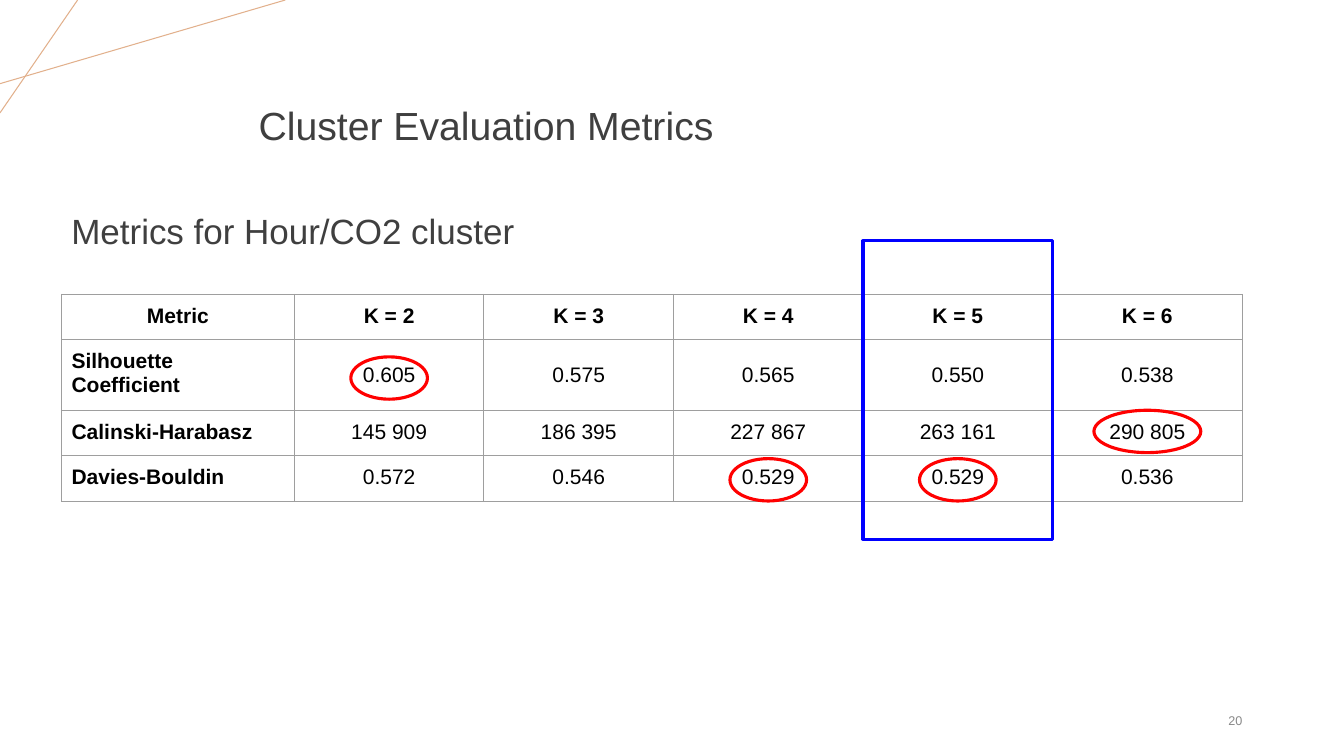
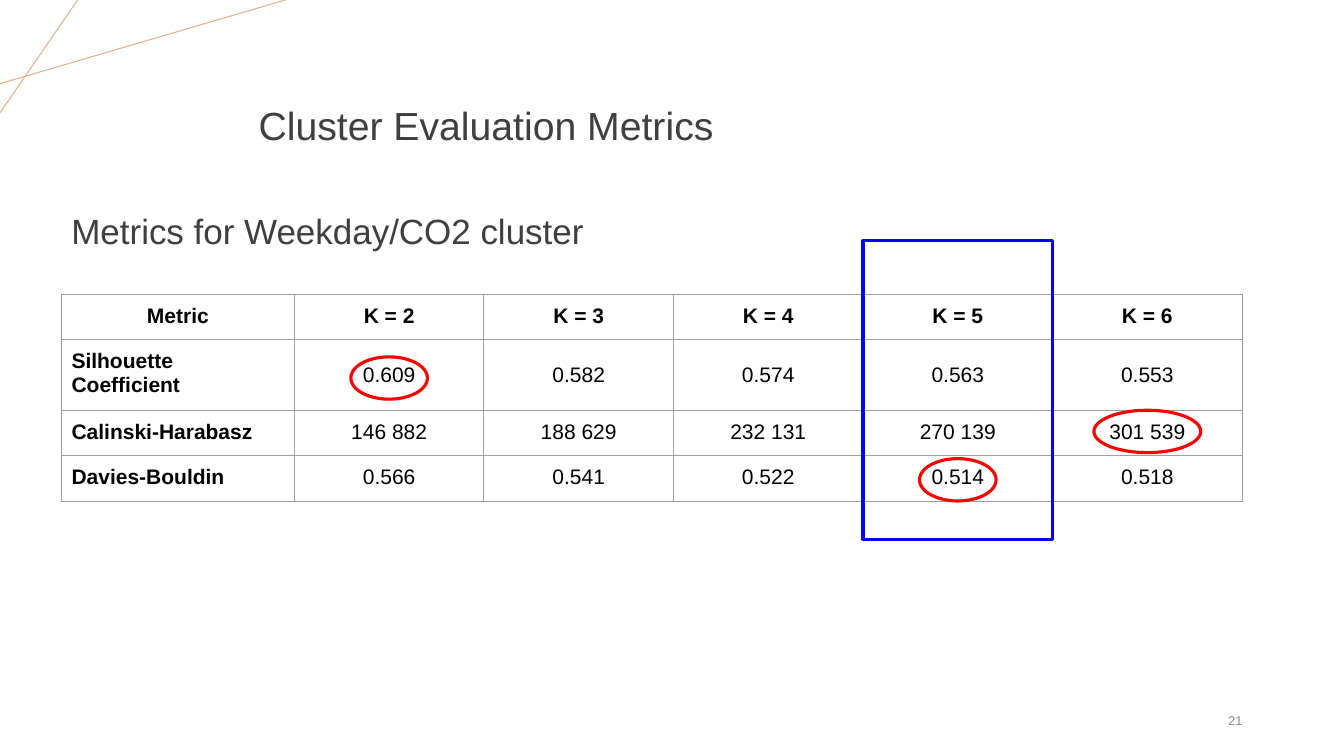
from lxml import etree
from pptx import Presentation
from pptx.dml.color import RGBColor
from pptx.enum.shapes import MSO_CONNECTOR, MSO_SHAPE
from pptx.enum.text import MSO_ANCHOR, PP_ALIGN
from pptx.oxml.ns import qn
from pptx.util import Inches, Pt

LEFT, CENTER, RIGHT = PP_ALIGN.LEFT, PP_ALIGN.CENTER, PP_ALIGN.RIGHT
TOP, MIDDLE = MSO_ANCHOR.TOP, MSO_ANCHOR.MIDDLE
OVAL, RECTANGLE = MSO_SHAPE.OVAL, MSO_SHAPE.RECTANGLE
STRAIGHT = MSO_CONNECTOR.STRAIGHT

# Content: best values are (metric row, cluster count)
TITLE = "Cluster Evaluation Metrics"
CLUSTER_COUNTS = [2, 3, 4, 5, 6]
CHOSEN_COUNT = 5
METRICS = ["Silhouette Coefficient", "Calinski-Harabasz", "Davies-Bouldin"]
SLIDES = [
    {
        "number": "20",
        "subtitle": "Metrics for Hour/CO2 cluster",
        "values": [
            ["0.605", "0.575", "0.565", "0.550", "0.538"],
            ["145 909", "186 395", "227 867", "263 161", "290 805"],
            ["0.572", "0.546", "0.529", "0.529", "0.536"],
        ],
        "best": [(2, 4), (2, 5), (1, 6), (0, 2)],
    },
    {
        "number": "21",
        "subtitle": "Metrics for Weekday/CO2 cluster",
        "values": [
            ["0.609", "0.582", "0.574", "0.563", "0.553"],
            ["146 882", "188 629", "232 131", "270 139", "301 539"],
            ["0.566", "0.541", "0.522", "0.514", "0.518"],
        ],
        "best": [(0, 2), (1, 6), (2, 5)],
    },
]

# Shared style, lengths in inches
FONT = "Arial"
COLORS = {
    "heading": "3F3F3F",
    "cell": "000000",
    "number": "888888",
    "corner": "E2B08C",
    "border": "9E9E9E",
    "best": "FF0000",
    "chosen": "0000FF",
}
CORNER_LINES = [((0, 0.83), (2.83, 0)), ((0.77, 0), (0, 1.12))]
TABLE_LEFT, TABLE_TOP = 0.61, 2.92
METRIC_WIDTH, COUNT_WIDTH = 2.31, 1.88
ROW_HEIGHTS = [0.43, 0.67, 0.43, 0.43]
RING_TOPS = [3.54, 4.07, 4.55]
RING_WIDTHS = [0.76, 1.06, 0.76]
RING_HEIGHT = 0.42
FRAME_TOP, FRAME_HEIGHT = 2.39, 2.96


def rgb(name):
    return RGBColor.from_string(COLORS[name])


def style_paragraph(paragraph, size, color, align, bold=False):
    paragraph.alignment = align
    font = paragraph.font
    font.name, font.size, font.bold = FONT, Pt(size), bold
    font.color.rgb = rgb(color)


def add_text(slide, text, box, size, color, align, anchor=MIDDLE,
             spacing=1.0, inset=0.05):
    frame = slide.shapes.add_textbox(*map(Inches, box)).text_frame
    frame.word_wrap = True
    frame.vertical_anchor = anchor
    frame.margin_left = frame.margin_right = Inches(0.1)
    frame.margin_top = frame.margin_bottom = Inches(inset)
    paragraph = frame.paragraphs[0]
    paragraph.text = text
    paragraph.line_spacing = spacing
    style_paragraph(paragraph, size, color, align)


def add_outline(slide, kind, box, color):
    outline = slide.shapes.add_shape(kind, *map(Inches, box))
    outline.shadow.inherit = False
    outline.fill.background()
    outline.line.color.rgb = rgb(color)
    outline.line.width = Pt(2.25)


def add_corner_lines(slide):
    for start, end in CORNER_LINES:
        line = slide.shapes.add_connector(STRAIGHT, *map(Inches, start + end))
        line.line.color.rgb = rgb("corner")
        line.line.width = Pt(0.75)
        etree.SubElement(line._element.spPr, qn("a:effectLst"))


def set_borders(cell):
    properties = cell._tc.get_or_add_tcPr()
    for position, side in enumerate(("a:lnL", "a:lnR", "a:lnT", "a:lnB")):
        border = etree.Element(qn(side), w=str(Pt(0.75)))
        fill = etree.SubElement(border, qn("a:solidFill"))
        etree.SubElement(fill, qn("a:srgbClr"), val=COLORS["border"])
        properties.insert(position, border)


def count_left(count):
    column = CLUSTER_COUNTS.index(count)
    return TABLE_LEFT + METRIC_WIDTH + column * COUNT_WIDTH


def add_metrics_table(slide, values):
    rows = [["Metric"] + [f"K = {count}" for count in CLUSTER_COUNTS]]
    rows += [[metric] + scores for metric, scores in zip(METRICS, values)]
    widths = [METRIC_WIDTH] + [COUNT_WIDTH] * len(CLUSTER_COUNTS)
    box = (TABLE_LEFT, TABLE_TOP, sum(widths), sum(ROW_HEIGHTS))
    table = slide.shapes.add_table(
        len(rows), len(widths), *map(Inches, box)).table
    table.first_row = table.horz_banding = False
    for column, width in zip(table.columns, widths):
        column.width = Inches(width)
    for r, (row, height) in enumerate(zip(rows, ROW_HEIGHTS)):
        table.rows[r].height = Inches(height)
        for c, text in enumerate(row):
            cell = table.cell(r, c)
            cell.fill.background()
            cell.margin_left = cell.margin_right = Inches(0.1)
            cell.margin_top = cell.margin_bottom = Inches(0.1)
            # Only scores beside the two-line label need centring
            cell.vertical_anchor = MIDDLE if r == 1 and c else TOP
            paragraph = cell.text_frame.paragraphs[0]
            paragraph.text = text
            is_label = r > 0 and c == 0
            style_paragraph(paragraph, 15, "cell", LEFT if is_label else CENTER,
                            bold=r == 0 or c == 0)
            set_borders(cell)


def add_highlights(slide, best):
    # Rings around the best scores, frame around the chosen count
    for metric, count in best:
        width = RING_WIDTHS[metric]
        left = count_left(count) + (COUNT_WIDTH - width) / 2
        add_outline(slide, OVAL,
                    (left, RING_TOPS[metric], width, RING_HEIGHT), "best")
    add_outline(slide, RECTANGLE,
                (count_left(CHOSEN_COUNT), FRAME_TOP, COUNT_WIDTH, FRAME_HEIGHT),
                "chosen")


def main():
    deck = Presentation()
    deck.slide_width, deck.slide_height = Inches(13.33), Inches(7.5)
    for content in SLIDES:
        slide = deck.slides.add_slide(deck.slide_layouts[6])
        add_corner_lines(slide)
        add_text(slide, content["number"], (9.42, 6.95, 3, 0.4),
                 9, "number", RIGHT)
        add_text(slide, TITLE, (1.55, 0.54, 6.54, 1.45),
                 28, "heading", CENTER, spacing=0.9)
        add_metrics_table(slide, content["values"])
        add_text(slide, content["subtitle"], (TABLE_LEFT, 1.77, 6.26, 0.62),
                 25, "heading", LEFT, TOP, spacing=1.5, inset=0.1)
        add_highlights(slide, content["best"])
    deck.save("out.pptx")


if __name__ == "__main__":
    main()
